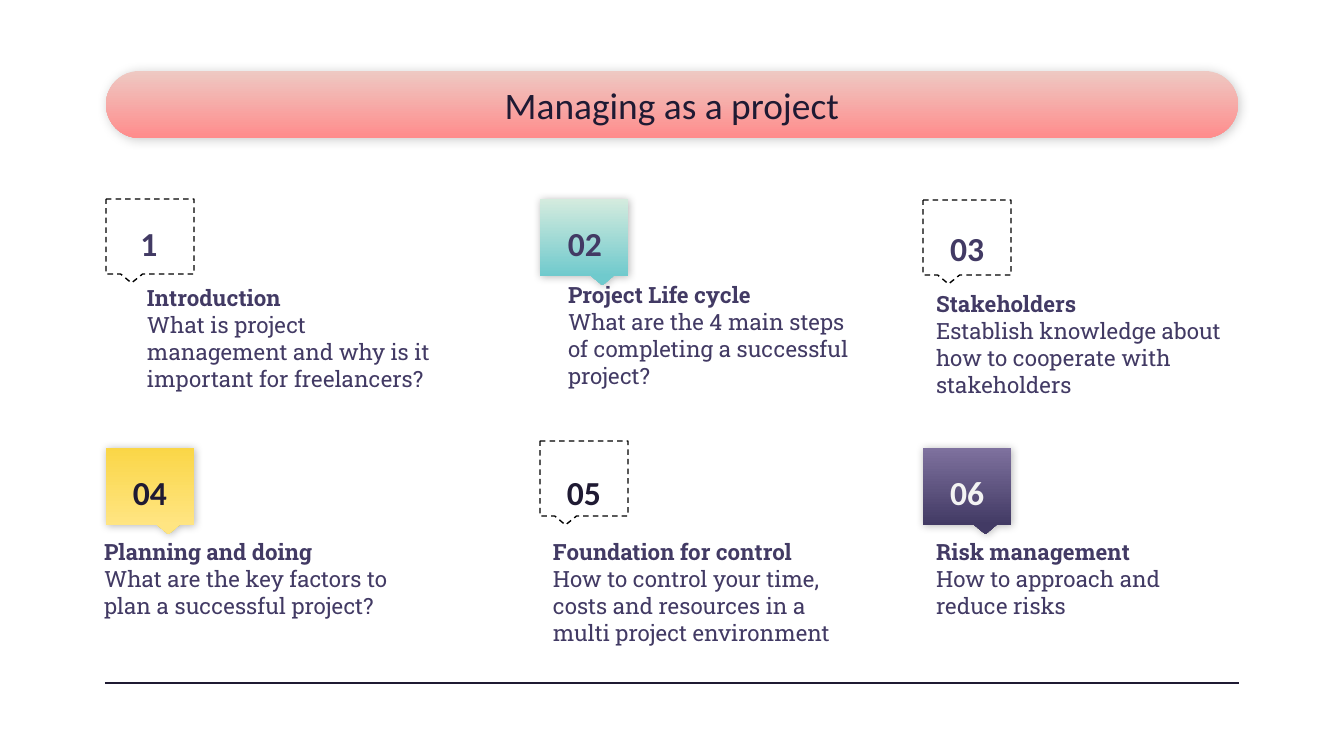
from lxml.etree import SubElement
from pptx import Presentation
from pptx.dml.color import RGBColor
from pptx.enum.dml import MSO_LINE
from pptx.enum.shapes import MSO_CONNECTOR, MSO_SHAPE
from pptx.enum.text import MSO_ANCHOR, PP_ALIGN
from pptx.oxml.ns import qn
from pptx.util import Pt

PX = 914400 / 134.4
INK, PURPLE, PALE = "1F1A33", "423A64", "F3F3F3"
TITLE = "Managing as a project"

# Number, number colour, heading, body, tile gradient (None = dashed outline),
# tile left/top, number centre x/top, text left/top, all in px
CARDS = [
    ("1", PURPLE, "Introduction", "What is project management and why is it important for freelancers?",
     None, (106, 199), (149, 215), (134, 271)),
    ("02", PURPLE, "Project Life cycle", "What are the 4 main steps of completing a successful project?",
     ("D4EBDE", "70CACD"), (540, 199), (585, 215), (555, 268)),
    ("03", PURPLE, "Stakeholders", "Establish knowledge about how to cooperate with stakeholders",
     None, (923, 200), (967, 220), (923, 277)),
    ("04", INK, "Planning and doing", "What are the key factors to plan a successful project?",
     ("FAD647", "FFE582"), (106, 448), (150, 464), (91, 525)),
    ("05", INK, "Foundation for control",
     "How to control your time, costs and resources in a multi project environment",
     None, (540, 441), (584, 464), (540, 525)),
    ("06", PALE, "Risk management", "How to approach and reduce risks",
     ("7E719E", "423A64"), (923, 448), (967, 464), (923, 525)),
]


def px(*values):
    return [round(v * PX) for v in values]


def rgb(value):
    return RGBColor.from_string(value)


def add_shadow(sp, alpha, blur, angle):
    effects = sp._element.spPr.find(qn("a:effectLst"))
    shadow = SubElement(effects, qn("a:outerShdw"), blurRad=str(Pt(blur)), dist=str(Pt(0.8)),
                        dir=str(angle * 60000), algn="bl", rotWithShape="0")
    color = SubElement(shadow, qn("a:srgbClr"), val="000000")
    SubElement(color, qn("a:alpha"), val=str(alpha * 1000))


def add_panel(s, kind, box, adjustments, gradient=None):
    sp = s.shapes.add_shape(kind, *px(*box))
    sp.shadow.inherit = False
    for i, value in enumerate(adjustments):
        sp.adjustments[i] = value
    if gradient:
        sp.fill.gradient()
        sp.fill.gradient_angle = 270
        for stop, color in zip(sp.fill.gradient_stops, gradient):
            stop.color.rgb = rgb(color)
        sp.line.fill.background()
    else:
        sp.fill.background()
        sp.line.color.rgb = rgb("000000")
        sp.line.width = Pt(0.75)
        sp.line.dash_style = MSO_LINE.DASH
    return sp


def add_text(s, box, lines, size, font, color, align=PP_ALIGN.LEFT,
             anchor=MSO_ANCHOR.TOP, bottom=13):
    """lines: (text, bold) pairs, one per line of a single paragraph."""
    tf = s.shapes.add_textbox(*px(*box)).text_frame
    tf.word_wrap = True
    tf.vertical_anchor = anchor
    tf.margin_left, tf.margin_top, tf.margin_right, tf.margin_bottom = px(13, 13, 13, bottom)
    p = tf.paragraphs[0]
    p.alignment = align
    for i, (text, bold) in enumerate(lines):
        if i:
            p.add_line_break()
        r = p.add_run()
        r.text = text
        r.font.size, r.font.name, r.font.bold = Pt(size), font, bold
        r.font.color.rgb = rgb(color)


prs = Presentation()
prs.slide_width, prs.slide_height = px(1344, 756)
s = prs.slides.add_slide(prs.slide_layouts[6])

# Title banner
banner = add_panel(s, MSO_SHAPE.ROUNDED_RECTANGLE, (106, 71, 1132, 67), [0.5], ("EEC9C3", "FF8C8C"))
add_shadow(banner, 20, 5.6, 66)
add_text(s, (332, 71, 680, 67), [(TITLE, False)], 20, "Calibri", INK,
         PP_ALIGN.CENTER, MSO_ANCHOR.MIDDLE)

# Footer rule
rule = s.shapes.add_connector(MSO_CONNECTOR.STRAIGHT, *px(105, 683, 1239, 683))
rule.line.color.rgb = rgb(INK)
rule.line.width = Pt(0.75)
SubElement(rule._element.spPr, qn("a:effectLst"))

# Cards: callout tile, number, heading and body
for number, color, heading, body, gradient, tile, label, text in CARDS:
    size = (88, 77) if gradient else (88, 75)
    pointer = 0.21 if gradient else -0.21
    sp = add_panel(s, MSO_SHAPE.ROUNDED_RECTANGULAR_CALLOUT, tile + size,
                   [pointer, 0.62, 0], gradient)
    if gradient:
        add_shadow(sp, 27, 4.5, 63)
    add_text(s, (label[0] - 45, label[1], 90, 44), [(number, True)], 18, "Calibri", color,
             PP_ALIGN.CENTER, MSO_ANCHOR.MIDDLE, bottom=0)
    add_text(s, text + (317, 112), [(heading, True), (body, False)], 12, "Roboto Slab", PURPLE)

prs.save("out.pptx")
